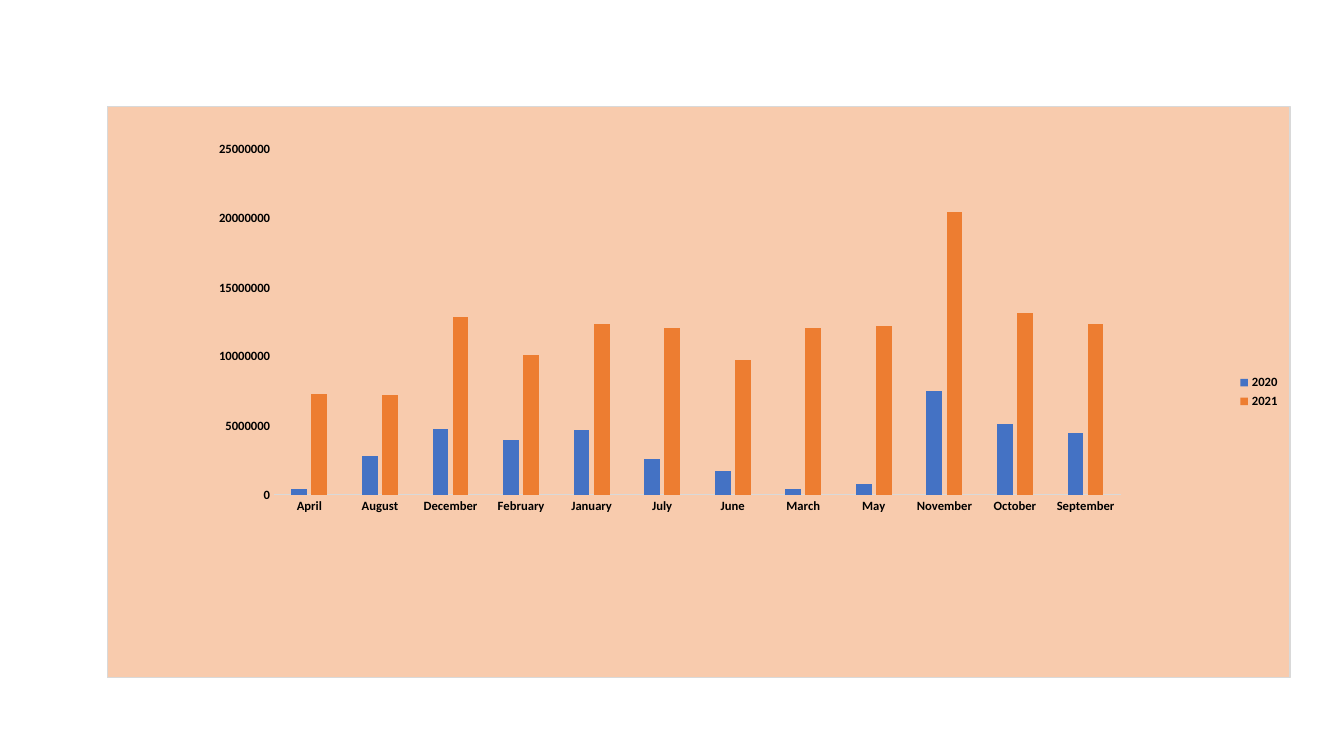
from lxml.etree import fromstring
from pptx import Presentation
from pptx.chart.data import CategoryChartData
from pptx.dml.color import RGBColor
from pptx.enum.chart import XL_CHART_TYPE as ChartType
from pptx.enum.chart import XL_LEGEND_POSITION as LegendPosition
from pptx.enum.chart import XL_TICK_MARK as TickMark
from pptx.oxml.ns import nsdecls, qn
from pptx.util import Inches, Pt

COLORS = {"panel": "F8CBAD", "line": "D9D9D9", "text": "000000",
          "2020": "4472C4", "2021": "ED7D31"}
MILLION = 1_000_000
MONTHLY = {
    "April": (0.4, 7.3), "August": (2.8, 7.2), "December": (4.8, 12.9),
    "February": (4.0, 10.1), "January": (4.7, 12.4), "July": (2.6, 12.1),
    "June": (1.7, 9.8), "March": (0.4, 12.1), "May": (0.8, 12.2),
    "November": (7.5, 20.5), "October": (5.1, 13.2), "September": (4.5, 12.4),
}
YEARS = ("2020", "2021")
CHART_BOX = (1.06, 1.05, 11.74, 5.68)
PLOT_SHARES = {"x": 0.141, "y": 0.076, "w": 0.716, "h": 0.604}
LABEL_FONT = {"name": "Calibri", "size": Pt(9), "bold": True}


def set_attributes(target, values):
    """Set each named value on the target."""
    for name, value in values.items():
        setattr(target, name, value)


def style_font(font):
    """Apply the label font and text colour."""
    set_attributes(font, LABEL_FONT)
    font.color.rgb = RGBColor.from_string(COLORS["text"])


def style_axis(axis, **values):
    """Remove ticks and gridlines and set the label font."""
    set_attributes(axis, {"major_tick_mark": TickMark.NONE,
                          "minor_tick_mark": TickMark.NONE,
                          "has_major_gridlines": False, **values})
    style_font(axis.tick_labels.font)


def fill_panel(chart):
    """Give the chart area its fill and thin border."""
    panel = fromstring(
        f'<c:spPr {nsdecls("c", "a")}>'
        f'<a:solidFill><a:srgbClr val="{COLORS["panel"]}"/></a:solidFill>'
        f'<a:ln w="{Pt(0.75)}"><a:solidFill><a:srgbClr val="{COLORS["line"]}"/>'
        '</a:solidFill></a:ln></c:spPr>')
    chart.element.find(qn("c:chart")).addnext(panel)


def place_plot(chart, shares):
    """Fix the inner plot area as shares of the chart's size."""
    plot_area = chart.element.find(".//" + qn("c:plotArea"))
    for layout in plot_area.findall(qn("c:layout")):
        plot_area.remove(layout)
    modes = "".join(f'<c:{side}Mode val="edge"/>' for side in "xy")
    lengths = "".join(f'<c:{side} val="{share}"/>' for side, share in shares.items())
    plot_area.insert(0, fromstring(
        f'<c:layout {nsdecls("c")}><c:manualLayout><c:layoutTarget val="inner"/>'
        f'{modes}{lengths}</c:manualLayout></c:layout>'))


def add_monthly_chart(page, box):
    """Draw the clustered columns of both years in the box."""
    data = CategoryChartData()
    data.categories = list(MONTHLY)
    for year, amounts in zip(YEARS, zip(*MONTHLY.values())):
        data.add_series(year, [round(amount * MILLION) for amount in amounts])
    chart = page.shapes.add_chart(
        ChartType.COLUMN_CLUSTERED, *map(Inches, box), data).chart
    set_attributes(chart, {"has_title": False, "has_legend": True})
    set_attributes(chart.font, {"name": "Calibri", "size": Pt(10)})
    fill_panel(chart)
    place_plot(chart, PLOT_SHARES)

    set_attributes(chart.legend, {"position": LegendPosition.RIGHT,
                                  "include_in_layout": False})
    style_font(chart.legend.font)
    style_axis(chart.category_axis)
    category_line = chart.category_axis.format.line
    category_line.color.rgb = RGBColor.from_string(COLORS["line"])
    category_line.width = Pt(0.75)
    style_axis(chart.value_axis, minimum_scale=0, maximum_scale=25 * MILLION,
               major_unit=5 * MILLION)
    chart.value_axis.format.line.fill.background()

    plot = chart.plots[0]
    set_attributes(plot, {"gap_width": 219, "overlap": -27,
                          "vary_by_categories": False})
    for series in plot.series:
        series.format.fill.solid()
        series.format.fill.fore_color.rgb = RGBColor.from_string(COLORS[series.name])


def main():
    """Build the one-page deck and save it."""
    deck = Presentation()
    set_attributes(deck, {"slide_width": Inches(13.33), "slide_height": Inches(7.5)})
    page = deck.slides.add_slide(deck.slide_layouts.get_by_name("Blank"))
    add_monthly_chart(page, CHART_BOX)
    deck.save("out.pptx")


if __name__ == "__main__":
    main()
